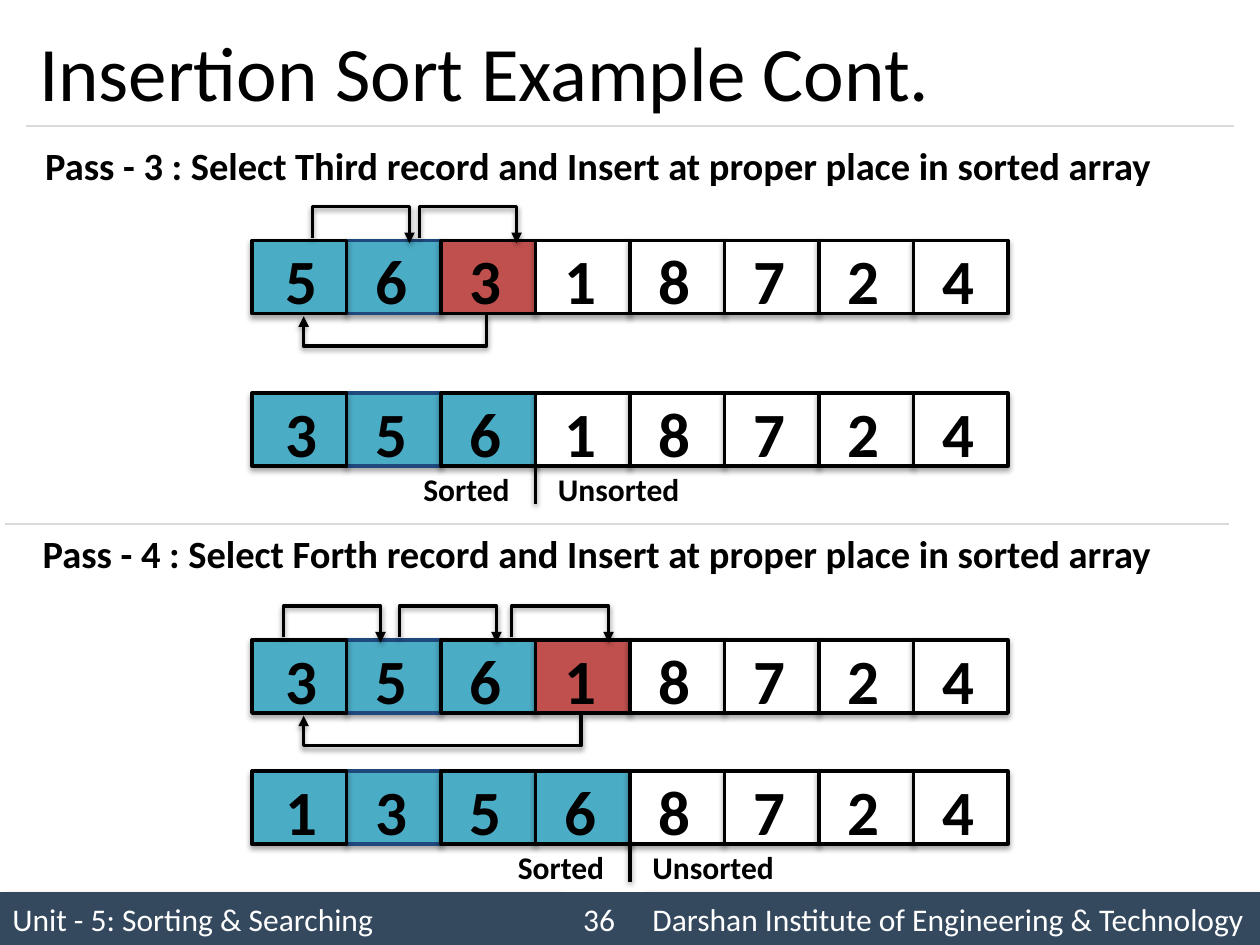
import pptx
import pptx.util
import pptx.dml.color
import pptx.enum.shapes
import pptx.enum.text
import pptx.oxml
import pptx.oxml.ns

Inches = pptx.util.Inches
Pt = pptx.util.Pt
RGB = pptx.dml.color.RGBColor
ALIGN = pptx.enum.text.PP_ALIGN
ANCHOR = pptx.enum.text.MSO_ANCHOR
CONNECTOR = pptx.enum.shapes.MSO_CONNECTOR

BLACK = RGB(0x00, 0x00, 0x00)
WHITE = RGB(0xFF, 0xFF, 0xFF)
SORTED = RGB(0x4B, 0xAC, 0xC6)
PICKED = RGB(0xC0, 0x50, 0x4D)
NAVY = RGB(0x1F, 0x49, 0x7D)
FOOTER = RGB(0x34, 0x49, 0x5E)
RULE = RGB(0xD9, 0xD9, 0xD9)

FONT = "Calibri"
CELL_W, CELL_H = 0.75, 0.58
ARRAY_LEFT = 2
LINE_SHADOW = (38, 3.1, 1.6, 90)
FOOTER_SHADOW = (40, 4, 3, 45)


def add_effects(shape, shadow=None):
    """Set the shadow as (opacity %, blur pt, distance pt, angle), or none."""
    inner = ""
    if shadow:
        alpha, blur, dist, angle = shadow
        inner = (f'<a:outerShdw blurRad="{Pt(blur)}" dist="{Pt(dist)}" '
                 f'dir="{angle * 60000}" rotWithShape="0"><a:srgbClr val="000000">'
                 f'<a:alpha val="{alpha * 1000}"/></a:srgbClr></a:outerShdw>')
    ns = pptx.oxml.ns.nsdecls("a")
    shape._element.spPr.append(
        pptx.oxml.parse_xml(f"<a:effectLst {ns}>{inner}</a:effectLst>"))


def format_text(tf, text, size, color=BLACK, bold=False, align=ALIGN.LEFT):
    tf.text = text
    p = tf.paragraphs[0]
    p.alignment = align
    font = p.runs[0].font
    font.name, font.size, font.bold = FONT, Pt(size), bold
    font.color.rgb = color


def add_label(s, x, y, w, h, text, size, align=ALIGN.LEFT):
    tf = s.shapes.add_textbox(Inches(x), Inches(y), Inches(w), Inches(h)).text_frame
    tf.word_wrap = False
    tf.auto_size = pptx.enum.text.MSO_AUTO_SIZE.SHAPE_TO_FIT_TEXT
    format_text(tf, text, size, bold=True, align=align)


def add_box(s, x, y, w, h, fill, line=None):
    sp = s.shapes.add_shape(pptx.enum.shapes.MSO_SHAPE.RECTANGLE,
                            Inches(x), Inches(y), Inches(w), Inches(h))
    sp.fill.solid()
    sp.fill.fore_color.rgb = fill
    if line is None:
        sp.line.fill.background()
    else:
        sp.line.color.rgb = line
        sp.line.width = Pt(2)
    return sp


def add_line(s, x1, y1, x2, y2, color=RULE, width=0.75, shadow=None,
             kind=CONNECTOR.STRAIGHT):
    c = s.shapes.add_connector(kind, Inches(x1), Inches(y1), Inches(x2), Inches(y2))
    c.line.color.rgb = color
    c.line.width = Pt(width)
    add_effects(c, shadow)
    return c


def add_bent_arrow(s, x1, x2, y, drop, above):
    """U-shaped arrow from (x1, y) to (x2, y + drop), reaching 0.25 inch out."""
    cx, cy, span = (x1 + x2) / 2, y + drop / 2, abs(x2 - x1)
    left, right = cx - drop / 2, cx + drop / 2
    if above:
        left, right = right, left
    c = add_line(s, left, cy - span / 2, right, cy + span / 2, BLACK, 2,
                 LINE_SHADOW, CONNECTOR.ELBOW)
    spPr = c._element.spPr
    spPr.find(pptx.oxml.ns.qn("a:xfrm")).set("rot", str((270 if above else 90) * 60000))
    adjust = round((-0.25 if above else 0.25) / drop * 100000)
    ns = pptx.oxml.ns.nsdecls("a")
    geom = spPr.find(pptx.oxml.ns.qn("a:prstGeom"))
    for old in list(geom):
        geom.remove(old)
    geom.append(pptx.oxml.parse_xml(
        f'<a:avLst {ns}><a:gd name="adj1" fmla="val {adjust}"/></a:avLst>'))
    c.line._get_or_add_ln().append(
        pptx.oxml.parse_xml(f'<a:tailEnd {ns} type="triangle"/>'))


def add_array(s, top, digits, sorted_count, picked=None):
    order = [1, 0] + list(range(2, len(digits)))  # first cell overlaps the second
    for i in order:
        fill = PICKED if i == picked else SORTED if i < sorted_count else WHITE
        add_box(s, ARRAY_LEFT + i * CELL_W, top, CELL_W, CELL_H, fill,
                NAVY if i == 1 else BLACK)
    for i, digit in enumerate(digits):
        inset = 0.17 if i == 0 else 0.13
        add_label(s, ARRAY_LEFT + i * CELL_W + inset, top - 0.04, 0.46, 0.71, digit, 36)


def add_split(s, top, count):
    """Divider and captions under an array, after its sorted cells."""
    x = ARRAY_LEFT + count * CELL_W
    add_line(s, x, top + 0.55, x, top + 0.88, BLACK, 2, LINE_SHADOW)
    add_label(s, x - 1, top + 0.56, 0.95, 0.4, "Sorted ", 18, ALIGN.RIGHT)
    add_label(s, x + 0.08, top + 0.56, 1.23, 0.4, "Unsorted", 18)


def add_pass(s, left, top, heading, before, before_top, after, after_top, picked, shifts):
    add_label(s, left, top, 9.41 - left, 0.47, heading, 22)
    add_array(s, before_top, before, picked, picked)
    for x in shifts:
        add_bent_arrow(s, x, x + 0.77, before_top - 0.02, 0.04, above=True)
    picked_x = ARRAY_LEFT + picked * CELL_W + 0.36
    add_bent_arrow(s, picked_x, 2.41, before_top + CELL_H + 0.01, 0.01, above=False)
    add_array(s, after_top, after, picked + 1)
    add_split(s, after_top, picked + 1)


def add_footer(s, top):
    parts = [
        (0, 4.42, "Unit - 5: Sorting & Searching", ALIGN.LEFT, FOOTER_SHADOW),
        (5.08, 4.92, "Darshan Institute of Engineering & Technology", ALIGN.LEFT,
         FOOTER_SHADOW),
        (4.42, 0.67, "36", ALIGN.CENTER, None),
    ]
    for x, w, text, align, shadow in parts:
        sp = add_box(s, x, top, w, 0.42, FOOTER)
        add_effects(sp, shadow)
        sp.text_frame.vertical_anchor = ANCHOR.MIDDLE
        format_text(sp.text_frame, text, 18, WHITE, align=align)


def add_title(s, x, y, w, h, text):
    sp = s.shapes.title
    sp.left, sp.top, sp.width, sp.height = (Inches(v) for v in (x, y, w, h))
    sp.text_frame.vertical_anchor = ANCHOR.MIDDLE
    format_text(sp.text_frame, text, 44)
    add_line(s, x, y + h, x + w, y + h)


def main():
    prs = pptx.Presentation()
    prs.slide_width, prs.slide_height = Inches(10), Inches(7.5)
    s = prs.slides.add_slide(prs.slide_layouts[5])
    add_footer(s, 7.08)
    add_title(s, 0.21, 0.12, 9.58, 0.88, "Insertion Sort Example Cont.")
    add_pass(s, 0.26, 1.08,
             "Pass - 3 : Select Third record and Insert at proper place in sorted array",
             "56318724", 1.91, "35618724", 3.12, 2, [3.33, 2.48])
    add_line(s, 0.04, 4.16, 9.75, 4.16)
    add_pass(s, 0.24, 4.16,
             "Pass - 4 : Select Forth record and Insert at proper place in sorted array",
             "35618724", 5.08, "13568724", 6.12, 3, [4.06, 3.17, 2.25])
    prs.save("out.pptx")


if __name__ == "__main__":
    main()
